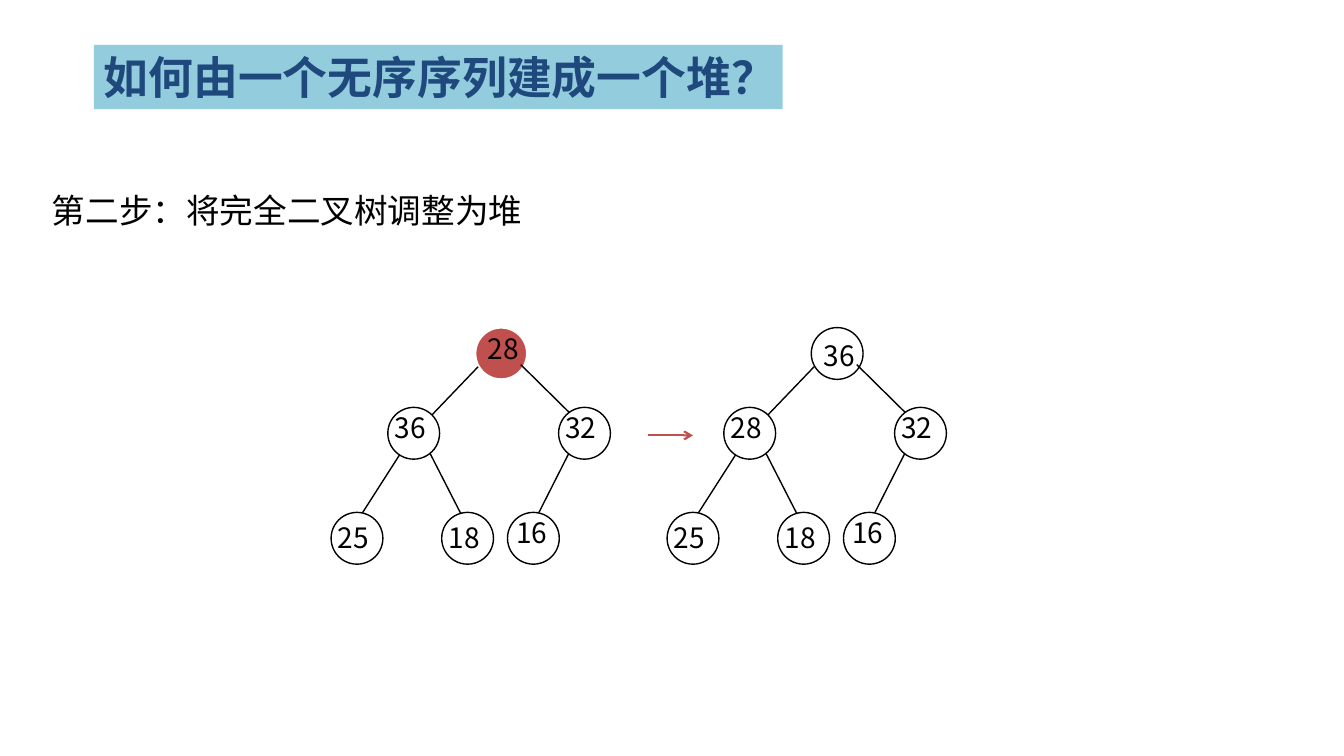
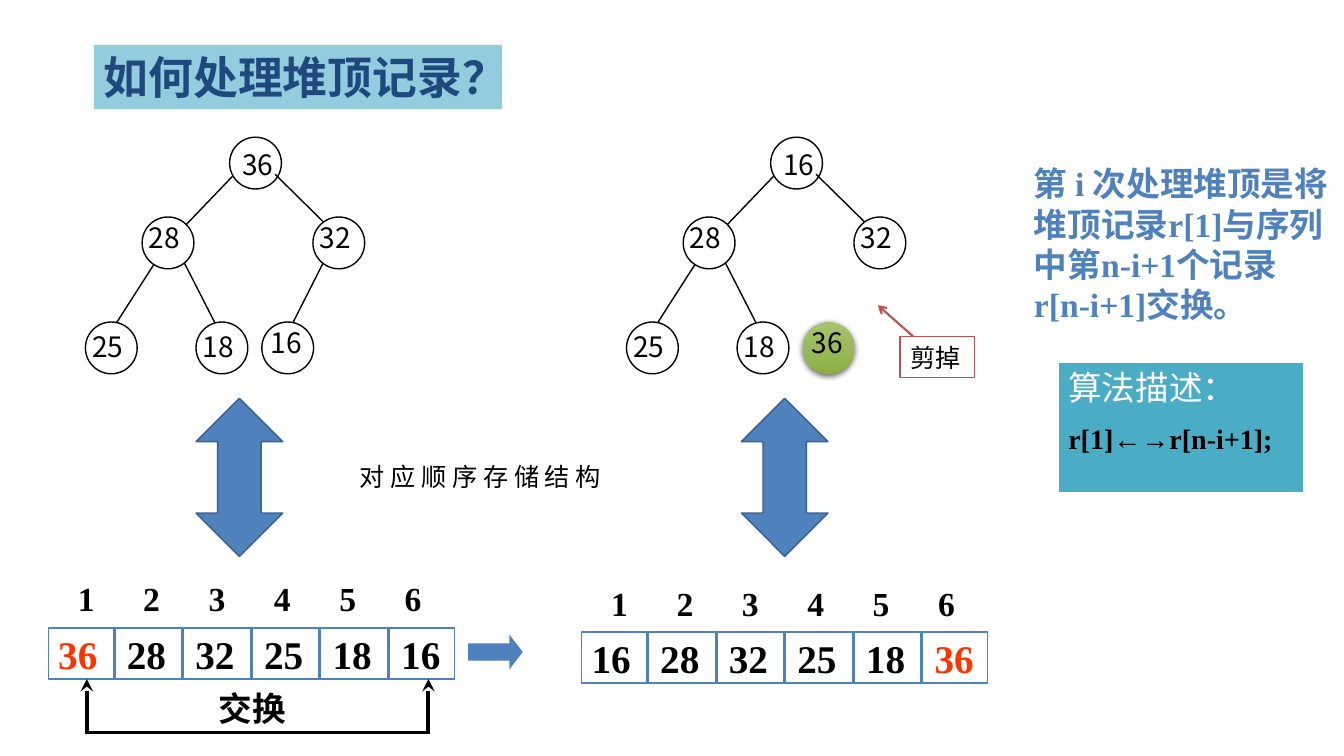
from dataclasses import dataclass
from lxml import etree
from pptx import Presentation
from pptx.dml.color import RGBColor
from pptx.enum import shapes as kinds, text as txt
from pptx.oxml import ns
from pptx.util import Pt


@dataclass(frozen=True)
class Theme:
    """Colours, faces and type sizes shared by the slides."""
    black: str = "000000"
    white: str = "FFFFFF"
    navy: str = "1F497D"
    sky: str = "93CDDD"
    blue: str = "4F81BD"
    edge: str = "3A5F8C"
    teal: str = "4BACC6"
    red: str = "C0504D"
    hot: str = "FF3300"
    leaf: tuple = ("A6C36F", "8DB045")
    sans: str = "Noto Sans CJK SC"
    mono: str = "Courier New"
    serif: str = "Times New Roman"
    plain: str = "Arial"
    title: int = 32
    cell: int = 28
    body: int = 24
    node: int = 20
    note: int = 18


T = Theme()
KIND = kinds.MSO_SHAPE
PAD = (7.2, 3.6, 7.2, 3.6)
SIDE = 37
NODES = {
    "root": (103, 0, 1.5, 1),
    "left": (40.5, 57, -2.5, -4),
    "right": (162.5, 57, -2.5, -4),
    "ll": (0, 132, -2.5, -1),
    "lr": (79, 132, -2.5, -1),
    "rl": (126, 132, -1, -4),
}
EDGES = {
    "right": (135.5, 26.5, 170, 60.5),
    "left": (105, 28, 70.5, 64),
    "ll": (49.5, 90, 21, 134.5),
    "lr": (70.5, 89.5, 93.5, 134.5),
    "rl": (170, 89.5, 148.5, 132),
}


def rgb(code):
    """Turn a hex code into a colour."""
    return RGBColor.from_string(code)


def sub(node, tag, **attrs):
    """Append a drawing element with attributes."""
    return etree.SubElement(node, ns.qn(tag), {k: str(v) for k, v in attrs.items()})


def shape(on, kind, box, fill, line=None, width=1):
    """Add a flat preset shape."""
    item = on.add_shape(kind, *map(Pt, box))
    item.shadow.inherit = False
    item.fill.solid()
    item.fill.fore_color.rgb = rgb(fill)
    if line:
        item.line.color.rgb = rgb(line)
        item.line.width = Pt(width)
    else:
        item.line.fill.background()
    return item


def link(on, ends, color=T.black, width=1, head=None):
    """Add a straight line, with an arrowhead if one is named."""
    item = on.add_connector(kinds.MSO_CONNECTOR.STRAIGHT, *map(Pt, ends))
    item.line.color.rgb = rgb(color)
    item.line.width = Pt(width)
    if head:
        sub(item.line._get_or_add_ln(), "a:tailEnd", type=head)
    sub(item._element.spPr, "a:effectLst")


def frame(item, pad=PAD, anchor=txt.MSO_ANCHOR.MIDDLE):
    """Set the wrapping, margins and anchor of a shape's text."""
    body = item.text_frame
    body.word_wrap = True
    body.vertical_anchor = anchor
    body.margin_left, body.margin_top, body.margin_right, body.margin_bottom = map(Pt, pad)
    return body


def write(para, runs, size, color=T.black, face=T.mono, bold=False):
    """Fill a paragraph from a string or from (text, colour) pairs."""
    para.alignment = txt.PP_ALIGN.LEFT
    font = para.font
    font.size, font.bold, font.name = Pt(size), bold, face
    font.color.rgb = rgb(color)
    sub(font._rPr, "a:ea", typeface=T.sans)
    for words, tint in [(runs, None)] if isinstance(runs, str) else runs:
        run = para.add_run()
        run.text = words
        if tint:
            run.font.color.rgb = rgb(tint)


def label(on, box, runs, size, pad=PAD, **style):
    """Add a text box of one paragraph."""
    body = frame(on.add_textbox(*map(Pt, box)), pad, txt.MSO_ANCHOR.TOP)
    write(body.paragraphs[0], runs, size, **style)
    return body


def tabs(para, step, count):
    """Put evenly spaced tab stops on a paragraph."""
    stops = etree.Element(ns.qn("a:tabLst"))
    for i in range(1, count):
        sub(stops, "a:tab", pos=int(Pt(step * i)), algn="l")
    para._p.get_or_add_pPr().insert(0, stops)


def title(page, words, width):
    """Add the banded title."""
    band = shape(page.shapes, KIND.RECTANGLE, (67, 32, width, 46), T.sky)
    write(frame(band, (7.2, 3.6, 0, 3.6)).paragraphs[0], words, T.title, T.navy, bold=True)


def node(on, x, y, spot, value):
    """Add one numbered tree node."""
    left, top, dx, dy = spot
    item = shape(on, KIND.OVAL, (x + left, y + top, SIDE, SIDE), T.white, T.black)
    pad = [2 * max(n, 0) for n in (dx, dy, -dx, -dy)]
    body = frame(item, pad)
    body.word_wrap = False
    write(body.paragraphs[0], value, T.node, face=T.sans)
    body.paragraphs[0].alignment = txt.PP_ALIGN.CENTER
    return item


def tree(page, x, y, values, cut=()):
    """Draw a six-node heap and return its nodes by place."""
    on = page.shapes.add_group_shape().shapes
    items = {}
    for (name, spot), value in zip(NODES.items(), values.split()):
        items[name] = node(on, x, y, spot, value)
        if name == "root":
            for end, (x1, y1, x2, y2) in EDGES.items():
                if end not in cut:
                    link(on, (x + x1, y + y1, x + x2, y + y2))
    return items


def glow(item):
    """Give a removed node its green gradient and soft shadow."""
    item.line.fill.background()
    item.fill.gradient()
    item.fill.gradient_angle = 270
    for stop, color in zip(item.fill.gradient_stops, T.leaf):
        stop.color.rgb = rgb(color)
    effect = item._element.spPr.find(ns.qn("a:effectLst"))
    shade = sub(effect, "a:outerShdw", blurRad=int(Pt(4.5)), dist=int(Pt(1.5)),
                dir=5400000, rotWithShape=0)
    sub(sub(shade, "a:srgbClr", val=T.black), "a:alpha", val=63000)


def array(page, x, y, values, hot):
    """Draw the sequential store with its indices above."""
    on = page.shapes.add_group_shape().shapes
    cells = values.split()
    count = len(cells)
    step = 49
    row = shape(on, KIND.RECTANGLE, (x, y, 290, 36.5), T.white, T.blue)
    runs = [("\t" * (i > 0) + cell, T.hot if i == hot else None)
            for i, cell in enumerate(cells)]
    para = frame(row, (7.2, 0, 0, 0)).paragraphs[0]
    write(para, runs, T.cell, face=T.serif, bold=True)
    tabs(para, step, count)
    for i in range(count - 1):
        at = x + 47 + step * i
        link(on, (at, y, at, y + 35.5), T.blue, 2.25)
    marks = "\t".join(str(i + 1) for i in range(count))
    body = label(on, (x + 14, y - 35.5, 271, 29), marks, T.body,
                 (7.2, 0, 7.2, 0), face=T.serif, bold=True)
    tabs(body.paragraphs[0], 46.7, count)


def swap(page, x, y, width):
    """Draw the bracket that marks the exchanged cells."""
    on = page.shapes.add_group_shape().shapes
    for at in (x, x + width):
        link(on, (at, y + 39, at, y), T.black, 3, "stealth")
    link(on, (x, y + 38.5, x + width, y + 38.5), T.black, 2.25)
    label(on, (x + 87, y + 3, 64, 36), "交换", T.body, face=T.plain, bold=True)


def trim(page, x, y):
    """Draw the callout that points at the removed node."""
    link(page.shapes, (x + 9.5, y, x - 16, y - 22.5), T.red, 1.5, "arrow")
    item = shape(page.shapes, KIND.RECTANGLE, (x, y, 53, 29), T.white, T.red)
    write(frame(item).paragraphs[0], "剪掉", T.note)


def method(page, x, y):
    """Draw the box with the algorithm."""
    item = shape(page.shapes, KIND.RECTANGLE, (x, y, 175.5, 94), T.teal, T.white, 1.5)
    body = frame(item, anchor=txt.MSO_ANCHOR.TOP)
    write(body.paragraphs[0], "算法描述：", T.body, T.white)
    para = body.add_paragraph()
    write(para, "r[1]←→r[n-i+1];", T.node, face=T.serif, bold=True)
    para.space_before = Pt(10)


def adjust(page):
    """Build the slide that turns a tree into a heap."""
    title(page, "如何由一个无序序列建成一个堆？", 492)
    label(page.shapes, (30, 132, 507, 36), "第二步：将完全二叉树调整为堆", T.body)
    top = tree(page, 236.5, 234, "28 36 32 25 18 16")["root"]
    top.fill.fore_color.rgb = rgb(T.red)
    top.line.color.rgb = rgb(T.white)
    top.line.width = Pt(1.5)
    body = top.text_frame
    body.margin_top, body.margin_bottom = 0, Pt(8)
    link(page.shapes, (463, 311, 495, 311), T.red, 1.5, "arrow")
    tree(page, 476.5, 234, "36 28 32 25 18 16")


def remove(page):
    """Build the slide that handles the top of the heap."""
    title(page, "如何处理堆顶记录？", 291.5)
    tree(page, 61, 98, "36 28 32 25 18 16")
    glow(tree(page, 447.5, 98, "16 28 32 25 18 36", ("rl",))["rl"])
    for x in (140, 529.5):
        shape(page.shapes, KIND.UP_DOWN_ARROW, (x, 284.5, 62, 113), T.blue, T.edge)
    label(page.shapes, (250, 326, 283, 29), "对 应 顺 序 存 储 结 构", T.note)
    array(page, 34.5, 448.5, "36 28 32 25 18 16", 0)
    array(page, 415.5, 451.5, "16 28 32 25 18 36", 5)
    swap(page, 62, 485, 244)
    arrow = shape(page.shapes, KIND.RIGHT_ARROW, (334.5, 453.5, 39, 24.5), T.blue)
    arrow.adjustments[1] = 0.39
    label(page.shapes, (731.5, 113, 224.5, 145.5),
          "第 i 次处理堆顶是将堆顶记录r[1]与序列中第n-i+1个记录r[n-i+1]交换。",
          T.body, color=T.blue, face=T.serif, bold=True)
    method(page, 756, 258.5)
    trim(page, 643, 240.5)


def main():
    """Build and save the deck."""
    deck = Presentation()
    deck.slide_width, deck.slide_height = Pt(960), Pt(540)
    for build in (adjust, remove):
        build(deck.slides.add_slide(deck.slide_layouts[6]))
    deck.save("out.pptx")


if __name__ == "__main__":
    main()
